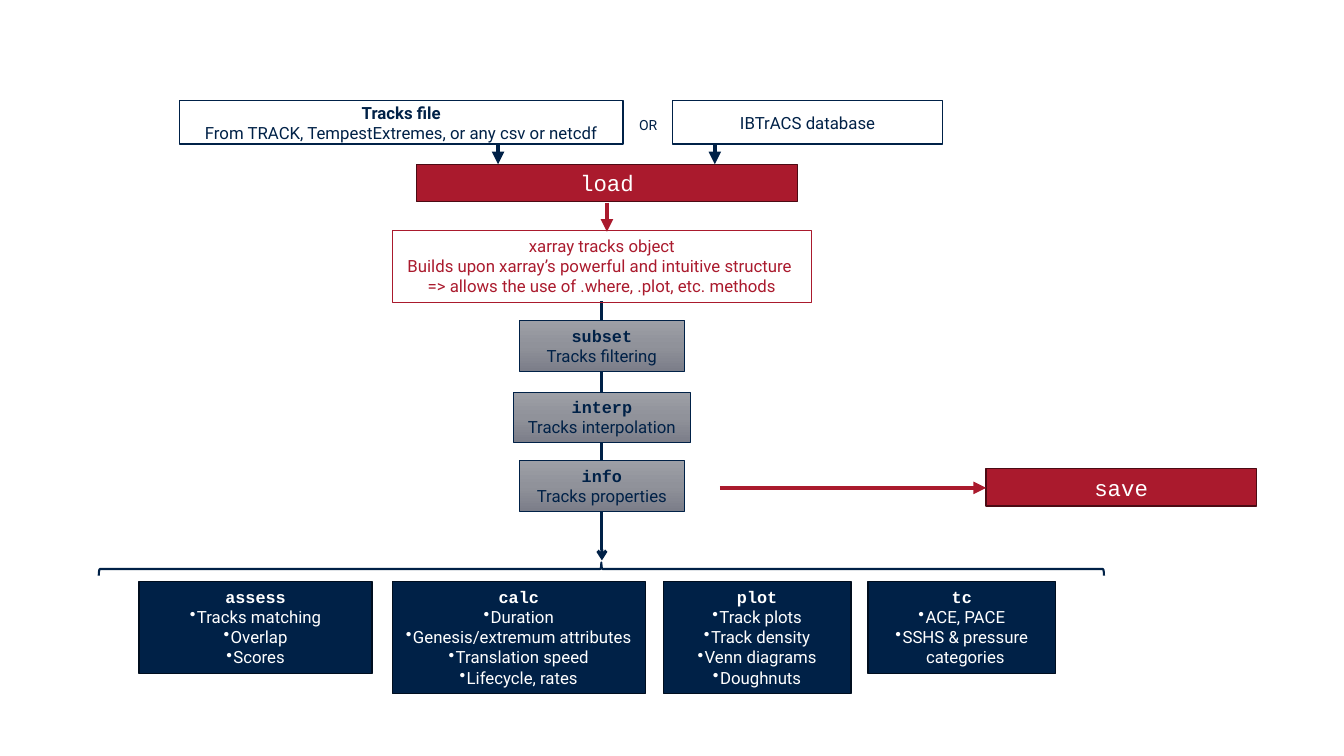
from copy import deepcopy
from dataclasses import dataclass

from pptx import Presentation
from pptx.dml.color import RGBColor
from pptx.enum.shapes import MSO_CONNECTOR, MSO_SHAPE
from pptx.enum.text import MSO_ANCHOR as Anchor, MSO_AUTO_SIZE as AutoSize, PP_ALIGN as Align
from pptx.oxml.ns import qn
from pptx.oxml.xmlchemy import OxmlElement
from pptx.util import Inches, Pt


@dataclass(frozen=True)
class Theme:
    navy: str = "002147"
    navy_edge: str = "000E1F"
    red: str = "AA1A2D"
    red_edge: str = "4B0B14"
    white: str = "FFFFFF"
    greys: tuple = ("9D9FA6", "90929A", "7C7E89")
    body: str = "Roboto"
    code: str = "Courier New"
    small: int = 10
    normal: int = 12
    large: int = 16


T = Theme()
CELL = 0.1       # inches per grid column and row
AXIS = 59.7      # column of the central flow line
STEP_H = 5       # rows per processing step
COMMAND_H = 3.7  # rows per red command box
SOURCE_TOP, SOURCE_H = 10, 4.3
LOAD_TOP = 16.3
MODULE_TOP = 57.7


def grid(n):
    return Inches(n * CELL)


def rgb(value):
    return RGBColor.from_string(value)


# Text
def write(p, text, font=T.body, size=T.normal, color=T.navy, bold=False,
          align=Align.CENTER, bullet=False):
    p.alignment = align
    for i, part in enumerate(text.split("\n")):
        if i:
            p.add_line_break()
        r = p.add_run()
        r.text = part
        r.font.name, r.font.size, r.font.bold = font, Pt(size), bold
        r.font.color.rgb = rgb(color)
    if bullet:
        pPr = p._p.get_or_add_pPr()
        pPr.set("marL", str(Inches(0.07)))
        pPr.set("indent", str(-Inches(0.07)))
        bu = OxmlElement("a:buChar")
        bu.set("char", "•")
        pPr.append(bu)


def fill_text(sp, lines, anchor=Anchor.TOP):
    """Write (text, format) pairs as the paragraphs of a shape."""
    tf = sp.text_frame
    tf.word_wrap = True
    tf.vertical_anchor = anchor
    tf.auto_size = AutoSize.SHAPE_TO_FIT_TEXT if anchor == Anchor.TOP else AutoSize.NONE
    for i, (text, fmt) in enumerate(lines):
        write(tf.add_paragraph() if i else tf.paragraphs[0], text, **fmt)


# Shapes
def shade(sp, colors):
    sp.fill.gradient()
    sp.fill.gradient_angle = 270
    stops = sp._element.spPr.find(".//" + qn("a:gsLst"))
    stops.append(deepcopy(stops[-1]))
    for i, (stop, color) in enumerate(zip(sp.fill.gradient_stops, colors)):
        stop.color.rgb = rgb(color)
        stop.position = i / (len(colors) - 1)


def shape(s, kind, x, y, w, h, edge, width, fill=None):
    sp = s.shapes.add_shape(kind, grid(x), grid(y), grid(w), grid(h))
    sp.shadow.inherit = False
    if isinstance(fill, tuple):
        shade(sp, fill)
    elif fill:
        sp.fill.solid()
        sp.fill.fore_color.rgb = rgb(fill)
    else:
        sp.fill.background()
    sp.line.color.rgb = rgb(edge)
    sp.line.width = Pt(width)
    return sp


def box(s, x, y, w, h, lines, edge=T.navy, width=1, fill=None, anchor=Anchor.TOP):
    fill_text(shape(s, MSO_SHAPE.RECTANGLE, x, y, w, h, edge, width, fill), lines, anchor)


def arrow(s, x1, y1, x2, y2, color=T.navy, width=3, head="triangle"):
    c = s.shapes.add_connector(MSO_CONNECTOR.STRAIGHT, grid(x1), grid(y1), grid(x2), grid(y2))
    c.line.color.rgb = rgb(color)
    c.line.width = Pt(width)
    tail = OxmlElement("a:tailEnd")
    tail.set("type", head)
    c.line._get_or_add_ln().append(tail)
    c._element.spPr.append(OxmlElement("a:effectLst"))


# Kinds of box in the workflow
def source(s, x, w, lines):
    box(s, x, SOURCE_TOP, w, SOURCE_H, lines, fill=T.white, anchor=Anchor.MIDDLE)


def command(s, x, y, w, name):
    box(s, x, y, w, COMMAND_H, [(name, dict(font=T.code, size=T.large, color=T.white))],
        edge=T.red_edge, fill=T.red, anchor=Anchor.MIDDLE)


def step(s, y, w, name, purpose):
    box(s, AXIS - w / 2, y, w, STEP_H, [(name, dict(font=T.code, bold=True)), (purpose, {})],
        width=0.5, fill=T.greys)


def module(s, x, w, h, name, features):
    lines = [(name, dict(font=T.code, color=T.white, bold=True))]
    lines += [(f, dict(color=T.white, bullet=True)) for f in features]
    box(s, x, MODULE_TOP, w, h, lines, edge=T.navy_edge, fill=T.navy)


def main():
    prs = Presentation()
    prs.slide_width, prs.slide_height = Inches(13.33), Inches(7.5)
    s = prs.slides.add_slide(prs.slide_layouts[6])

    # Central flow line, behind the steps
    arrow(s, AXIS, 29.9, AXIS, 55.6, width=2.25, head="arrow")

    # Input sources
    source(s, 17.8, 44, [("Tracks file", dict(bold=True)),
                         ("From TRACK, TempestExtremes, or any csv or netcdf", {})])
    source(s, 66.7, 26.8, [("IBTrACS database", {})])
    tb = s.shapes.add_textbox(grid(62.4), grid(11.1), grid(6.8), grid(2.7))
    fill_text(tb, [("OR", dict(size=T.small, align=Align.LEFT))])
    for x in (49.4, 70.9):
        arrow(s, x, SOURCE_TOP + SOURCE_H, x, LOAD_TOP)

    # Loading into the tracks object
    command(s, 41.3, LOAD_TOP, 37.8, "load")
    red = dict(color=T.red)
    box(s, 38.9, 22.9, 41.6, 7.1, [
        ("xarray tracks object", red),
        ("Builds upon xarray’s powerful and intuitive structure \n"
         "=> allows the use of .where, .plot, etc. methods", red),
    ], edge=T.red, width=0.75)
    arrow(s, 60.2, 20.1, 60.2, 23, color=T.red)

    # Processing steps
    step(s, 31.8, 16.4, "subset", "Tracks filtering")
    step(s, 38.9, 17.5, "interp", "Tracks interpolation")
    step(s, 45.7, 16.4, "info", "Tracks properties")

    # Saving
    command(s, 97.8, 46.5, 26.8, "save")
    arrow(s, 71.4, 48.4, 97.8, 48.4, color=T.red)

    # Analysis modules under the brace
    brace = shape(s, MSO_SHAPE.RIGHT_BRACE, 59, 6.6, 1.3, 99.7, T.navy, 1.5)
    brace.rotation = 270
    for x, w, h, name, features in (
        (13.8, 23.1, 9.1, "assess", ["Tracks matching", "Overlap", "Scores"]),
        (38.9, 25.1, 11.1, "calc", ["Duration", "Genesis/extremum attributes",
                                    "Translation speed", "Lifecycle, rates"]),
        (65.8, 18.6, 11.1, "plot", ["Track plots", "Track density",
                                    "Venn diagrams", "Doughnuts"]),
        (86.1, 18.6, 9.1, "tc", ["ACE, PACE", "SSHS & pressure categories"]),
    ):
        module(s, x, w, h, name, features)

    prs.save("out.pptx")


if __name__ == "__main__":
    main()
